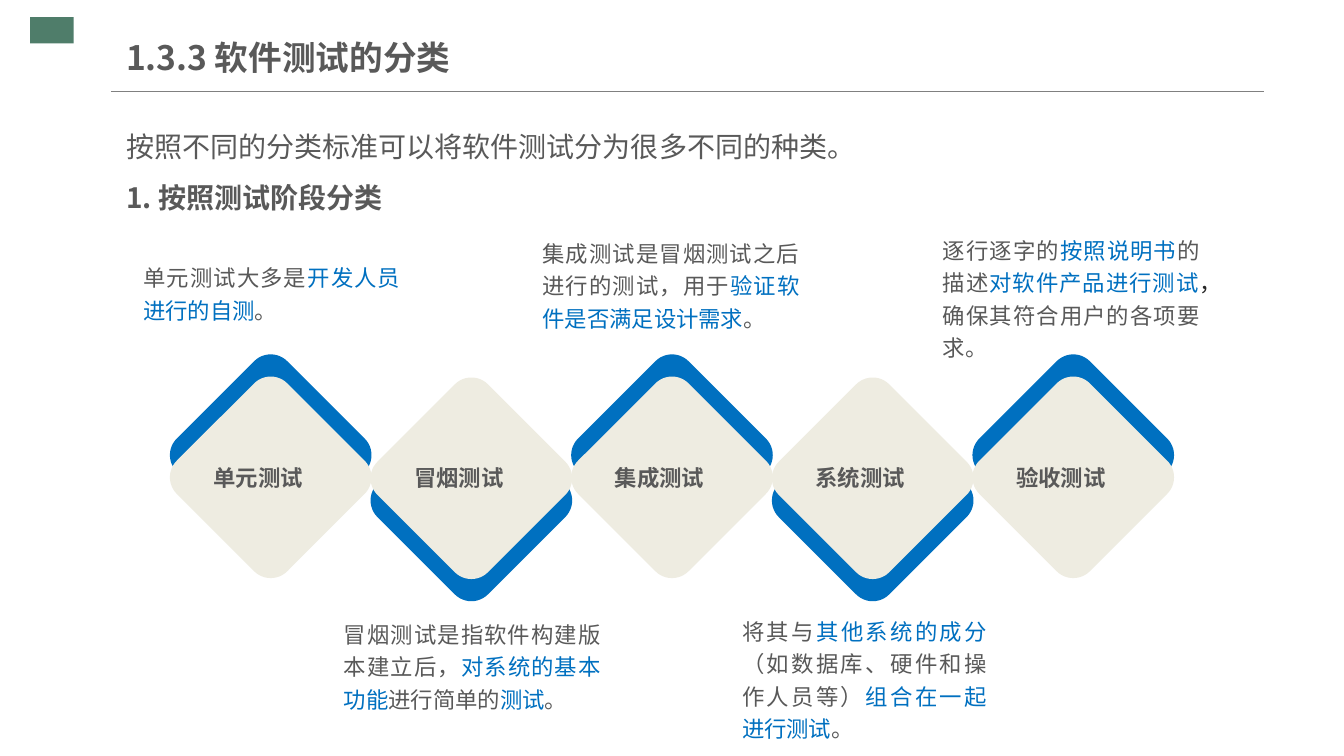
"""Build the slide on the kinds of software testing, ordered by test stage."""
from lxml.etree import SubElement
from pptx import Presentation
from pptx.dml.color import RGBColor
from pptx.enum.shapes import MSO_CONNECTOR, MSO_SHAPE
from pptx.enum.text import MSO_ANCHOR, MSO_AUTO_SIZE, PP_ALIGN
from pptx.oxml.ns import qn
from pptx.util import Inches, Pt

FONT = "Noto Sans CJK SC"
GREY = RGBColor(0x59, 0x59, 0x59)
DARK = RGBColor(0x26, 0x26, 0x26)
BLUE = RGBColor(0x00, 0x70, 0xC0)
CREAM = RGBColor(0xEE, 0xEC, 0xE1)
GREEN = RGBColor(0x4F, 0x7D, 0x6A)
RULE = RGBColor(0x80, 0x80, 0x80)

TITLE = "1.3.3 软件测试的分类"
INTRO = [("按照不同的分类标准可以将软件测试分为很多不同的种类。", False),
         ("1. 按照测试阶段分类", True)]
STAGES = [
    ("单元测试", (1.42, 2.57, 2.55, 0.62),
     [("单元测试大多是", GREY), ("开发人员进行的自测", BLUE), ("。", GREY)]),
    ("冒烟测试", (3.41, 6.11, 2.55, 0.97),
     [("冒烟测试是指软件构建版本建立后，", GREY), ("对系统的基本功能", BLUE),
      ("进行简单的", GREY), ("测试", BLUE), ("。", GREY)]),
    ("集成测试", (5.38, 2.33, 2.55, 0.97),
     [("集成测试是冒烟测试之后进行的测试，用于", GREY),
      ("验证软件是否满足设计需求", BLUE), ("。", GREY)]),
    ("系统测试", (7.36, 6.08, 2.43, 1.29),
     [("将其与", GREY), ("其他系统的成分", BLUE),
      ("（如数据库、硬件和操作人员等）", GREY),
      ("组合在一起进行测试", BLUE), ("。", GREY)]),
    ("验收测试", (9.35, 2.3, 2.55, 1.29),
     [("逐行逐字的", GREY), ("按照说明书", BLUE), ("的描述", GREY),
      ("对软件产品进行测试", BLUE), ("，", DARK),
      ("确保其符合用户的各项要求。", GREY)]),
]
LEFT, STEP, SIDE = 1.91, 1.99, 1.55
UP = (315, 3.74, 3.96)
DOWN = (135, 4.19, 3.97)


def style(run, size, color=GREY, bold=False):
    """Format one run of text."""
    font = run.font
    font.size, font.bold, font.name = Pt(size), bold, FONT
    font.color.rgb = color
    SubElement(run._r.get_or_add_rPr(), qn("a:ea")).set("typeface", FONT)


def place(shape, box):
    """Move a placeholder to a box in inches."""
    shape.left, shape.top, shape.width, shape.height = map(Inches, box)


def set_frame(frame, anchor, side, edge):
    """Set the wrap, anchor and insets of a text frame."""
    frame.word_wrap = True
    frame.auto_size = MSO_AUTO_SIZE.NONE
    frame.vertical_anchor = anchor
    frame.margin_left = frame.margin_right = Inches(side)
    frame.margin_top = frame.margin_bottom = Inches(edge)


def add_block(slide, kind, box, color, turn=0):
    """Draw a plain filled shape."""
    shape = slide.shapes.add_shape(kind, *map(Inches, box))
    shape.shadow.inherit = False
    shape.fill.solid()
    shape.fill.fore_color.rgb = color
    shape.line.fill.background()
    shape.rotation = turn
    return shape


def add_head(slide):
    """Fill in the corner mark, rule, title and opening lines."""
    add_block(slide, MSO_SHAPE.RECTANGLE, (0.3, 0.17, 0.43, 0.26), GREEN)
    rule = slide.shapes.add_connector(
        MSO_CONNECTOR.STRAIGHT, *map(Inches, (1.1, 0.91, 12.54, 0.91)))
    rule.line.color.rgb, rule.line.width = RULE, Pt(0.75)
    SubElement(rule._element.spPr, qn("a:effectLst"))

    title = slide.shapes.title
    place(title, (1.25, 0.29, 4.26, 0.55))
    set_frame(title.text_frame, MSO_ANCHOR.MIDDLE, 0, 0.07)
    title.text_frame.text = TITLE
    line = title.text_frame.paragraphs[0]
    line.alignment = PP_ALIGN.LEFT
    style(line.runs[0], 24, bold=True)

    body = slide.placeholders[1]
    place(body, (1.15, 1.07, 10.99, 1.21))
    frame = body.text_frame
    set_frame(frame, MSO_ANCHOR.TOP, 0.1, 0.05)
    frame.text = "\n".join(text for text, bold in INTRO)
    for line, (text, bold) in zip(frame.paragraphs, INTRO):
        props = line._p.get_or_add_pPr()
        props.set("marL", "0")
        props.set("indent", "0")
        SubElement(props, qn("a:buNone"))
        line.alignment = PP_ALIGN.JUSTIFY
        line.line_spacing, line.space_before = 1.5, Pt(0)
        style(line.runs[0], 20, bold=bold)


def add_stage(slide, index, name, box, parts):
    """Draw one diamond with its name and its note."""
    left = LEFT + index * STEP
    turn, back, front = DOWN if index % 2 else UP
    for top, color in ((back, BLUE), (front, CREAM)):
        tile = add_block(slide, MSO_SHAPE.ROUNDED_RECTANGLE,
                         (left, top, SIDE, SIDE), color, turn)
        tile.adjustments[0] = 0.15

    label = slide.shapes.add_textbox(
        *map(Inches, (left + 0.11, 4.59, 1.32, 0.29))).text_frame
    set_frame(label, MSO_ANCHOR.MIDDLE, 0.1, 0.05)
    label.text = name
    style(label.paragraphs[0].runs[0], 16, bold=True)

    note = slide.shapes.add_textbox(*map(Inches, box)).text_frame
    set_frame(note, MSO_ANCHOR.TOP, 0, 0)
    line = note.paragraphs[0]
    line.alignment, line.line_spacing = PP_ALIGN.JUSTIFY, 1.2
    for text, color in parts:
        run = line.add_run()
        run.text = text
        style(run, 16, color)


def main():
    """Build and save the deck."""
    deck = Presentation()
    deck.slide_width, deck.slide_height = Inches(13.33), Inches(7.5)
    slide = deck.slides.add_slide(deck.slide_layouts[1])
    add_head(slide)
    for index, stage in enumerate(STAGES):
        add_stage(slide, index, *stage)
    deck.save("out.pptx")


if __name__ == "__main__":
    main()
